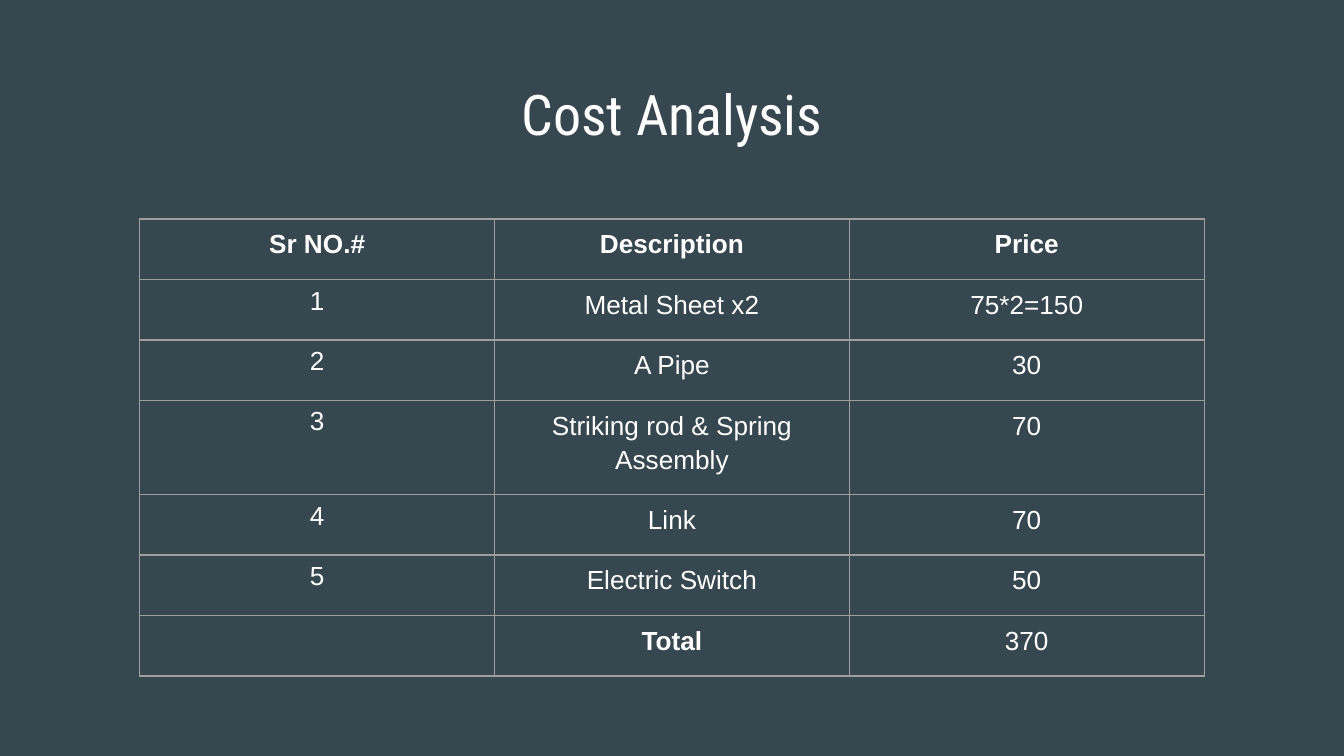
from lxml import etree
from pptx import Presentation
from pptx.dml.color import RGBColor
from pptx.enum.text import MSO_ANCHOR, PP_ALIGN
from pptx.oxml.ns import qn
from pptx.util import Inches, Pt

CENTER = PP_ALIGN.CENTER
TOP = MSO_ANCHOR.TOP

COLORS = {"background": "37474F", "text": "FFFFFF", "border": "9E9E9E"}

TITLE = "Cost Analysis"
COSTS = [
    ("Sr NO.#", "Description", "Price"),
    ("1", "Metal Sheet x2", "75*2=150"),
    ("2", "A Pipe", "30"),
    ("3", "Striking rod & Spring Assembly", "70"),
    ("4", "Link", "70"),
    ("5", "Electric Switch", "50"),
    ("", "Total", "370"),
]
BOLD_LABELS = {*COSTS[0], "Total"}

SLIDE_WIDTH = 10
SLIDE_HEIGHT = SLIDE_WIDTH * 9 / 16
TABLE_LEFT, TABLE_TOP = 1.04, 1.63
COLUMN_WIDTH = 2.64
ROW_HEIGHT, TALL_ROW_HEIGHT = 0.45, 0.7
TALL_ROW = 3
BORDER_WIDTH = 0.75


def rgb(name):
    return RGBColor.from_string(COLORS[name])


def write(para, text, font, size, bold=False):
    para.alignment = CENTER
    span = para.add_run()
    span.text = text
    span.font.name = font
    span.font.size = Pt(size)
    span.font.bold = bold
    span.font.color.rgb = rgb("text")


def add_borders(cell):
    """Draw all four sides; border elements must precede the cell's fill."""
    properties = cell._tc.get_or_add_tcPr()
    for position, side in enumerate(("a:lnL", "a:lnR", "a:lnT", "a:lnB")):
        line = etree.Element(qn(side), w=str(Pt(BORDER_WIDTH)))
        fill = etree.SubElement(line, qn("a:solidFill"))
        etree.SubElement(fill, qn("a:srgbClr"), val=COLORS["border"])
        properties.insert(position, line)


def add_title(slide):
    box = slide.shapes.add_textbox(Inches(0.34), Inches(0.49), Inches(9.32), Inches(0.63))
    frame = box.text_frame
    frame.word_wrap = True
    frame.vertical_anchor = TOP
    frame.margin_left = frame.margin_right = Inches(0.1)
    frame.margin_top = frame.margin_bottom = Inches(0.1)
    write(frame.paragraphs[0], TITLE, "Roboto Condensed", 30)


def add_cost_table(slide):
    heights = [TALL_ROW_HEIGHT if i == TALL_ROW else ROW_HEIGHT for i in range(len(COSTS))]
    columns = len(COSTS[0])
    table = slide.shapes.add_table(
        len(COSTS), columns, Inches(TABLE_LEFT), Inches(TABLE_TOP),
        Inches(COLUMN_WIDTH * columns), Inches(sum(heights)),
    ).table
    table.first_row = table.horz_banding = False
    for column in table.columns:
        column.width = Inches(COLUMN_WIDTH)
    for row, height in zip(table.rows, heights):
        row.height = Inches(height)

    for row_index, entries in enumerate(COSTS):
        for column_index, text in enumerate(entries):
            cell = table.cell(row_index, column_index)
            cell.fill.background()
            cell.vertical_anchor = TOP
            cell.margin_left = cell.margin_right = Inches(0.1)
            cell.margin_top = cell.margin_bottom = Inches(0.05)
            add_borders(cell)
            if not text:
                continue
            para = cell.text_frame.paragraphs[0]
            is_serial_number = row_index > 0 and column_index == 0
            if not is_serial_number:
                para.line_spacing = 1.15
            write(para, text, "Arial", 14, text in BOLD_LABELS)


def main():
    deck = Presentation()
    deck.slide_width, deck.slide_height = Inches(SLIDE_WIDTH), Inches(SLIDE_HEIGHT)
    slide = deck.slides.add_slide(deck.slide_layouts[6])
    slide.background.fill.solid()
    slide.background.fill.fore_color.rgb = rgb("background")
    add_title(slide)
    add_cost_table(slide)
    deck.save("out.pptx")


if __name__ == "__main__":
    main()
